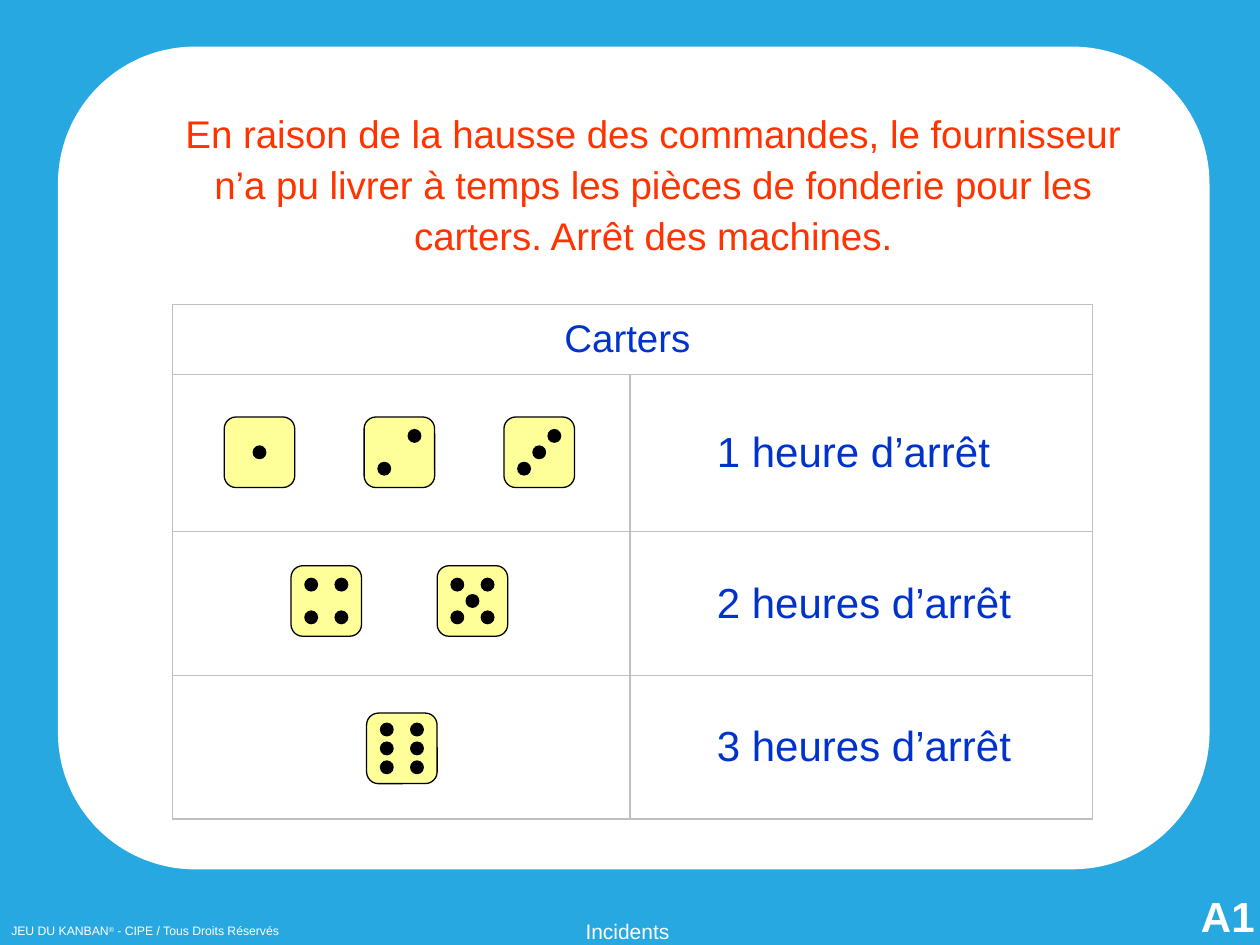
"""Build the incident card that links dice rolls to machine downtime."""
from dataclasses import dataclass

from lxml import etree
from pptx import Presentation
from pptx.dml.color import RGBColor
from pptx.enum.shapes import MSO_SHAPE
from pptx.enum.text import MSO_ANCHOR, MSO_AUTO_SIZE, PP_ALIGN
from pptx.oxml.ns import qn
from pptx.util import Inches, Pt

ROUND, OVAL = MSO_SHAPE.ROUNDED_RECTANGLE, MSO_SHAPE.OVAL
LEFT, CENTER = PP_ALIGN.LEFT, PP_ALIGN.CENTER
TOP, MIDDLE, BOTTOM = MSO_ANCHOR.TOP, MSO_ANCHOR.MIDDLE, MSO_ANCHOR.BOTTOM
NO_FIT = MSO_AUTO_SIZE.NONE


@dataclass(frozen=True)
class Theme:
    """Colours, font and type sizes of the card."""
    back: str = "27A8E0"
    white: str = "FFFFFF"
    alert: str = "FF3300"
    ink: str = "0033CC"
    grid: str = "C0C0C0"
    die: str = "FFFF99"
    black: str = "000000"
    font: str = "Arial"
    head: int = 22
    cell: int = 24
    foot: int = 12
    small: int = 7


@dataclass(frozen=True)
class Die:
    """A die face and its top left corner in inches."""
    score: int
    left: float
    top: float


@dataclass(frozen=True)
class Label:
    """A text box with its place and look."""
    words: tuple
    left: float
    top: float
    width: float
    height: float
    size: int
    bold: bool = False
    wrap: bool = False
    align: PP_ALIGN = CENTER
    anchor: MSO_ANCHOR = TOP
    inset: tuple = (0.1, 0.05, 0.1, 0.05)


THEME = Theme()
DIE, PIP = 0.56, 0.1
COLS = (0.11, 0.23, 0.35)
ROWS = (0.1, 0.23, 0.36)
TIGHT = (0.08, 0.23, 0.38)
DIAG = ((0, 2), (2, 0))
EDGES = DIAG + ((0, 0), (2, 2))
MID = ((1, 1),)
FACES = {1: MID, 2: DIAG, 3: DIAG + MID, 4: EDGES, 5: EDGES + MID,
         6: EDGES + ((0, 1), (2, 1))}
DICE = [Die(n, 1.78 + 1.11 * (n - 1), 3.31) for n in (1, 2, 3)]
DICE += [Die(4, 2.31, 4.49), Die(5, 3.47, 4.49), Die(6, 2.91, 5.66)]
STOPS = ("1 heure d’arrêt", "2 heures d’arrêt", "3 heures d’arrêt")
WIDTHS = (3.63, 3.67)
HEIGHTS = (0.55, 1.25, 1.14, 1.14)
LABELS = (
    Label(("Incidents",), 4.29, 7.24, 1.38, 0.26, THEME.foot, wrap=True,
          anchor=BOTTOM, inset=(0.1, 0.05, 0.1, 0.01)),
    Label(("JEU DU KANBAN", "®", " - CIPE / Tous Droits Réservés"),
          0, 7.29, 2.34, 0.21, THEME.small, align=LEFT,
          inset=(0.09, 0.04, 0.09, 0.04)),
    Label(("A1",), 9.43, 7.02, 0.63, 0.5, THEME.cell, bold=True),
)


def color(code: str) -> RGBColor:
    """Turn a hex code into a colour."""
    return RGBColor.from_string(code)


def style(font, size: int, code: str, bold: bool = False) -> None:
    """Set the look of a font."""
    font.name, font.size, font.bold = THEME.font, Pt(size), bold
    font.color.rgb = color(code)


def draw_shape(slide, kind, left, top, width, height, fill, line=None):
    """Draw a flat preset shape."""
    shape = slide.shapes.add_shape(
        kind, Inches(left), Inches(top), Inches(width), Inches(height))
    shape.shadow.inherit = False
    shape.fill.solid()
    shape.fill.fore_color.rgb = color(fill)
    if line:
        shape.line.color.rgb = color(line)
        shape.line.width = Pt(0.75)
    else:
        shape.line.fill.background()
    return shape


def draw_die(slide, die: Die) -> None:
    """Draw a die with its pips."""
    draw_shape(slide, ROUND, die.left, die.top, DIE, DIE,
               THEME.die, THEME.black)
    rows = TIGHT if die.score == 6 else ROWS
    for col, row in FACES[die.score]:
        draw_shape(slide, OVAL, die.left + COLS[col], die.top + rows[row],
                   PIP, PIP, THEME.black, THEME.black)


def draw_label(slide, label: Label) -> None:
    """Draw a white text box."""
    box = slide.shapes.add_textbox(Inches(label.left), Inches(label.top),
                                   Inches(label.width), Inches(label.height))
    frame = box.text_frame
    frame.word_wrap, frame.vertical_anchor = label.wrap, label.anchor
    (frame.margin_left, frame.margin_top, frame.margin_right,
     frame.margin_bottom) = map(Inches, label.inset)
    para = frame.paragraphs[0]
    para.alignment = label.align
    for word in label.words:
        run = para.add_run()
        run.text = word
        style(run.font, label.size, THEME.white, label.bold)
        if word == "®":
            run._r.get_or_add_rPr().set("baseline", "30000")


def set_title(slide, text: str) -> None:
    """Place and format the title."""
    title = slide.shapes.title
    title.left, title.top = Inches(1.23), Inches(0.79)
    title.width, title.height = Inches(7.91), Inches(1.31)
    frame = title.text_frame
    frame.text = text
    frame.word_wrap, frame.auto_size = True, NO_FIT
    frame.vertical_anchor = TOP
    para = frame.paragraphs[0]
    para.alignment, para.line_spacing = CENTER, 1.1
    style(para.runs[0].font, THEME.head, THEME.alert)


def frame_cell(cell) -> None:
    """Give a cell a white fill and thin grey borders."""
    cell.fill.solid()
    cell.fill.fore_color.rgb = color(THEME.white)
    props = cell._tc.get_or_add_tcPr()
    for spot, side in enumerate(("a:lnL", "a:lnR", "a:lnT", "a:lnB")):
        line = etree.Element(qn(side), w=str(Pt(0.75)))
        fill = etree.SubElement(line, qn("a:solidFill"))
        etree.SubElement(fill, qn("a:srgbClr"), val=THEME.grid)
        props.insert(spot, line)


def fill_cell(cell, text: str, size: int, align: PP_ALIGN) -> None:
    """Write blue text in a cell."""
    cell.text_frame.text = text
    cell.vertical_anchor = MIDDLE
    para = cell.text_frame.paragraphs[0]
    para.alignment = align
    style(para.runs[0].font, size, THEME.ink)


def draw_table(slide) -> None:
    """Draw the downtime table."""
    table = slide.shapes.add_table(
        len(HEIGHTS), len(WIDTHS), Inches(1.37), Inches(2.42),
        Inches(sum(WIDTHS)), Inches(sum(HEIGHTS))).table
    table.first_row = table.horz_banding = False
    for col, width in zip(table.columns, WIDTHS):
        col.width = Inches(width)
    for row, height in zip(table.rows, HEIGHTS):
        row.height = Inches(height)
    for cell in table.iter_cells():
        frame_cell(cell)
    head = table.cell(0, 0)
    head.merge(table.cell(0, 1))
    fill_cell(head, "Carters", THEME.head, CENTER)
    head.margin_right = Inches(0.18)
    for row, text in enumerate(STOPS, 1):
        cell = table.cell(row, 1)
        fill_cell(cell, text, THEME.cell, LEFT)
        cell.margin_left = Inches(0.69)


def main() -> None:
    """Build and save the slide."""
    deck = Presentation()
    deck.slide_width, deck.slide_height = Inches(10), Inches(7.5)
    slide = deck.slides.add_slide(deck.slide_layouts[5])
    slide.background.fill.solid()
    slide.background.fill.fore_color.rgb = color(THEME.back)
    panel = draw_shape(slide, ROUND, 0.46, 0.37, 9.14, 6.53, THEME.white)
    slide.shapes.title._element.addprevious(panel._element)
    set_title(slide, "En raison de la hausse des commandes, le fournisseur "
              "n’a pu livrer à temps les pièces de fonderie pour les "
              "carters. Arrêt des machines.")
    draw_table(slide)
    for label in LABELS:
        draw_label(slide, label)
    for die in DICE:
        draw_die(slide, die)
    deck.save("out.pptx")


if __name__ == "__main__":
    main()
